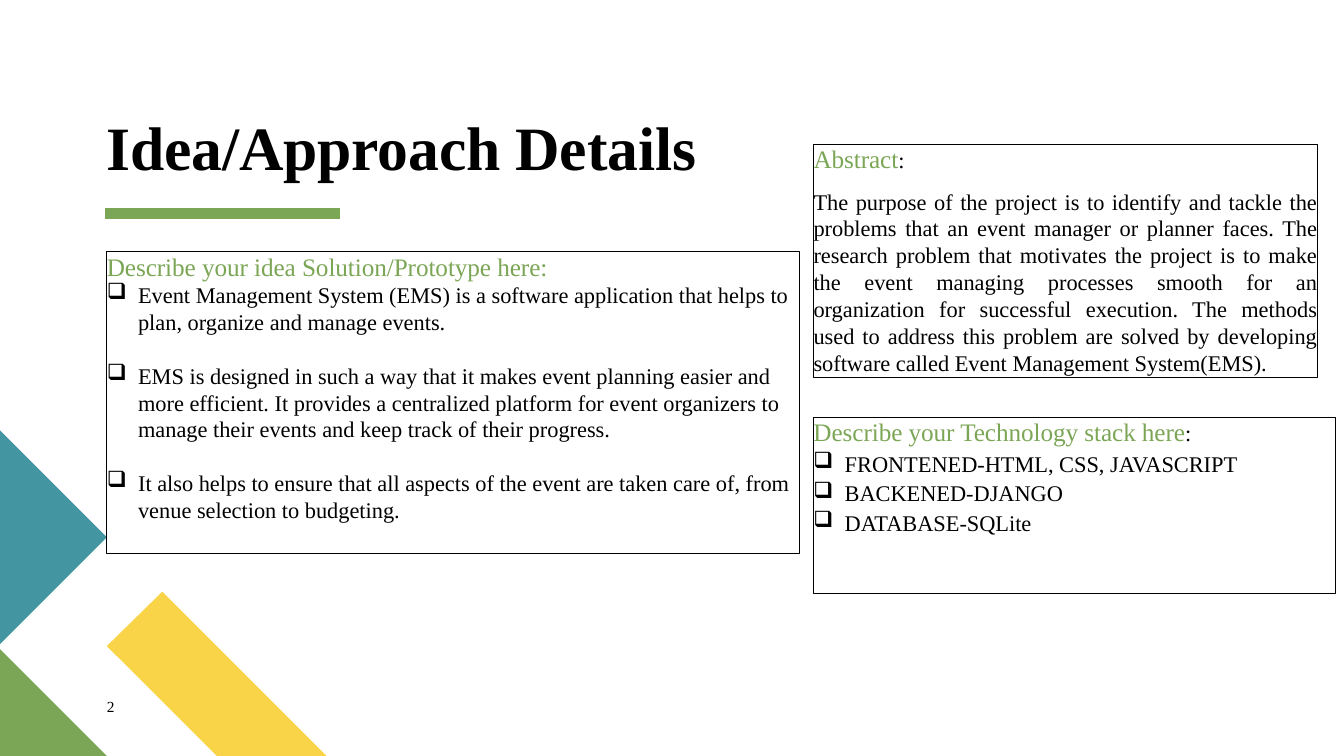
from lxml import etree
from pptx import Presentation
from pptx import util as u
from pptx.dml.color import RGBColor
from pptx.enum import shapes, text
from pptx.oxml import ns

BLACK = RGBColor(0, 0, 0)
GREEN = RGBColor(0x7B, 0xA6, 0x55)
TEAL = RGBColor(0x44, 0x95, 0xA2)
GOLD = RGBColor(0xF9, 0xD4, 0x48)
LEFT = text.PP_ALIGN.LEFT
EVEN = text.PP_ALIGN.JUSTIFY


class Page:
    font = "Times New Roman"
    head = 18
    body = 16
    lead = 20.9

    def __init__(self, deck):
        self.wide, self.high = deck.slide_width, deck.slide_height
        self.slide = deck.slides.add_slide(deck.slide_layouts[5])
        self.items = self.slide.shapes

    def at(self, x, y):
        return round(self.wide * x / 100), round(self.high * y / 100)

    def area(self, x, y, w, h):
        return *self.at(x, y), *self.at(w, h)

    def frame(self, shape):
        frame = shape.text_frame
        frame.word_wrap = True
        frame.auto_size = text.MSO_AUTO_SIZE.NONE
        frame.vertical_anchor = text.MSO_ANCHOR.TOP
        frame.margin_left = frame.margin_right = 0
        frame.margin_top = frame.margin_bottom = 0
        return frame

    def run(self, para, words, size, color=BLACK, bold=False, track=0):
        run = para.add_run()
        run.text = words
        run.font.name = self.font
        run.font.size = u.Pt(size)
        run.font.bold = bold
        run.font.color.rgb = color
        if track:
            run.font._element.set("spc", str(track))

    def line(self, para, lead, gap=0, align=LEFT):
        para.alignment = align
        para.line_spacing = u.Pt(lead)
        para.space_before = u.Pt(gap)

    def bullet(self, para):
        props = para._p.get_or_add_pPr()
        props.set("marL", str(u.Inches(0.31)))
        props.set("indent", str(-u.Inches(0.31)))
        etree.SubElement(props, ns.qn("a:buChar")).set("char", "❑")

    def title(self, words, *area):
        shape = self.items.title
        shape.left, shape.top, shape.width, shape.height = self.area(*area)
        para = self.frame(shape).paragraphs[0]
        para.alignment = LEFT
        para.space_before = u.Pt(1)
        self.run(para, words, 44, bold=True, track=-10)

    def label(self, words, size, *area):
        para = self.frame(self.items.add_textbox(*self.area(*area))).paragraphs[0]
        self.line(para, 13)
        para._p.get_or_add_pPr().set("marL", str(u.Inches(0.04)))
        self.run(para, words, size)

    def panel(self, head, tail, *area):
        shape = self.items.add_shape(shapes.MSO_SHAPE.RECTANGLE, *self.area(*area))
        shape.shadow.inherit = False
        shape.fill.background()
        shape.line.color.rgb = BLACK
        shape.line.width = u.Pt(0.75)
        frame = self.frame(shape)
        para = frame.paragraphs[0]
        self.line(para, self.lead)
        self.run(para, head, self.head, GREEN, track=-5)
        if tail:
            self.run(para, tail, self.body)
        return frame

    def prose(self, frame, words, lead, gap=0, align=LEFT, mark=False):
        para = frame.add_paragraph()
        self.line(para, lead, gap, align)
        if mark:
            self.bullet(para)
        self.run(para, words, self.body)

    def patch(self, color, *spots):
        spots = [self.at(*spot) for spot in spots]
        form = self.items.build_freeform(*spots[0])
        form.add_line_segments(spots[1:], close=True)
        shape = form.convert_to_shape()
        shape.shadow.inherit = False
        shape.fill.solid()
        shape.fill.fore_color.rgb = color
        shape.line.fill.background()

    def rule(self, color, width, start, end):
        rule = self.items.add_connector(
            shapes.MSO_CONNECTOR.STRAIGHT, *self.at(*start), *self.at(*end))
        rule.line.color.rgb = color
        rule.line.width = u.Pt(width)
        etree.SubElement(rule._element.spPr, ns.qn("a:effectLst"))


def main():
    deck = Presentation()
    deck.slide_width, deck.slide_height = u.Inches(13.33), u.Inches(7.5)
    page = Page(deck)

    page.patch(GOLD, (24.3, 100), (16.13, 100), (7.95, 85.47), (12.08, 78.27))
    page.patch(GREEN, (7.95, 100), (0, 100), (0, 85.87))
    page.patch(TEAL, (0, 85.2), (0, 56.93), (7.95, 71.07))
    page.rule(GREEN, 8, (7.8, 28.27), (25.28, 28.27))
    page.title("Idea/Approach Details", 7.9, 14.4, 44.4, 10.13)

    idea = page.panel("Describe your idea Solution/Prototype here:", "",
                      7.95, 33.33, 51.53, 39.87)
    points = (
        "Event Management System (EMS) is a software application that helps to "
        "plan, organize and manage events.",
        "EMS is designed in such a way that it makes event planning easier and "
        "more efficient. It provides a centralized platform for event organizers "
        "to manage their events and keep track of their progress.",
        "It also helps to ensure that all aspects of the event are taken care of, "
        "from venue selection to budgeting.",
    )
    for i, point in enumerate(points):
        page.prose(idea, point, 19.2, 19.2 if i else 0, mark=True)

    stack = page.panel("Describe your Technology stack here", ":",
                       60.53, 55.2, 38.85, 23.33)
    tools = ("FRONTENED-HTML, CSS, JAVASCRIPT", "BACKENED-DJANGO", "DATABASE-SQLite")
    for i, tool in enumerate(tools):
        page.prose(stack, tool, page.lead, 0 if i else 1, mark=True)

    brief = page.panel("Abstract", ":", 60.53, 19.07, 37.5, 30.93)
    page.prose(
        brief,
        "The purpose of the project is to identify and tackle the problems that an "
        "event manager or planner faces. The research problem that motivates the "
        "project is to make the event managing processes smooth for an organization "
        "for successful execution. The methods used to address this problem are "
        "solved by developing software called Event Management System(EMS).",
        19.2, 10.2, EVEN)

    page.label("2", 11, 7.65, 92.27, 1.8, 2.67)
    deck.save("out.pptx")


if __name__ == "__main__":
    main()
